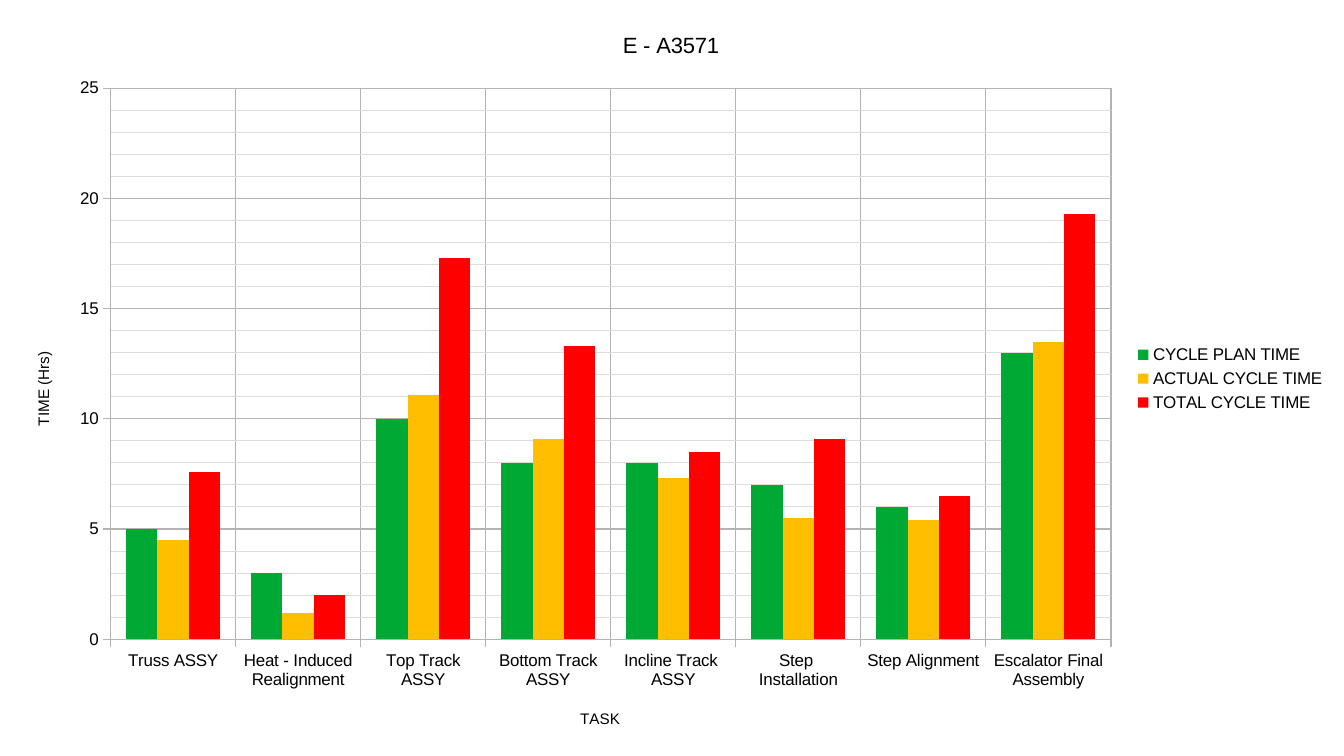
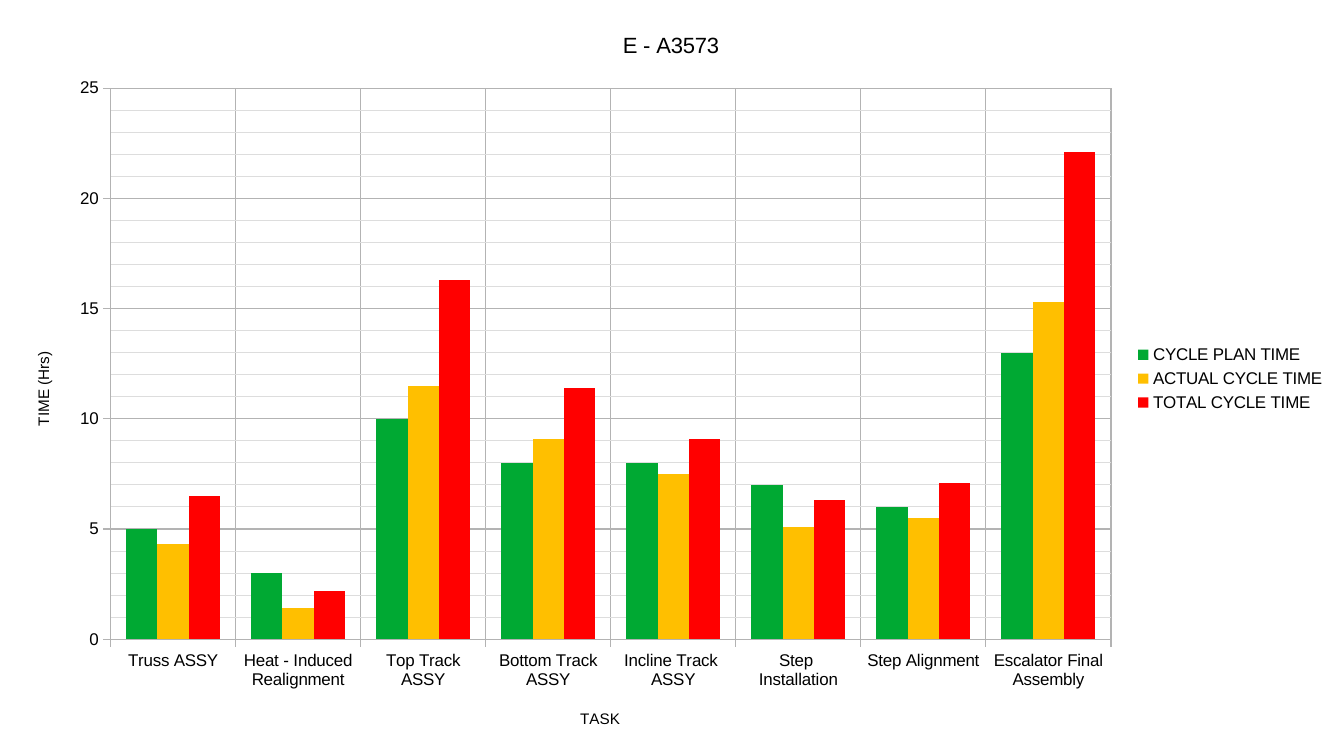
from pptx import Presentation
from pptx.chart.data import CategoryChartData
from pptx.dml.color import RGBColor
from pptx.enum.chart import XL_CHART_TYPE, XL_LEGEND_POSITION, XL_TICK_MARK
from pptx.oxml import parse_xml
from pptx.oxml.ns import nsdecls, qn
from pptx.util import Cm, Pt

COLUMN = XL_CHART_TYPE.COLUMN_CLUSTERED
RIGHT = XL_LEGEND_POSITION.RIGHT
OUT = XL_TICK_MARK.OUTSIDE
NONE = XL_TICK_MARK.NONE

BLACK = RGBColor(0x00, 0x00, 0x00)
GRAY = RGBColor(0xB3, 0xB3, 0xB3)
PALE = RGBColor(0xDD, 0xDD, 0xDD)
GREEN = RGBColor(0x00, 0xA9, 0x33)
AMBER = RGBColor(0xFF, 0xBF, 0x00)
RED = RGBColor(0xFF, 0x00, 0x00)

TASKS = [
    "Truss ASSY",
    "Heat - Induced Realignment",
    "Top Track ASSY",
    "Bottom Track ASSY",
    "Incline Track  ASSY",
    "Step  Installation",
    "Step Alignment",
    "Escalator Final Assembly",
]
SERIES = [
    ("CYCLE PLAN TIME", GREEN),
    ("ACTUAL CYCLE TIME", AMBER),
    ("TOTAL CYCLE TIME", RED),
]
PLAN = [5, 3, 10, 8, 8, 7, 6, 13]
UNITS = [
    (
        "E - A3571",
        [4.5, 1.2, 11.1, 9.1, 7.3, 5.5, 5.4, 13.5],
        [7.6, 2, 17.3, 13.3, 8.5, 9.1, 6.5, 19.3],
    ),
    (
        "E - A3573",
        [4.3, 1.4, 11.5, 9.1, 7.5, 5.1, 5.5, 15.3],
        [6.5, 2.2, 16.3, 11.4, 9.1, 6.3, 7.1, 22.1],
    ),
]


class Deck:
    face = "Arial"

    def __init__(self):
        self.show = Presentation()
        self.show.slide_width = Cm(28)
        self.show.slide_height = Cm(15.75)
        self.slide = None

    def page(self):
        self.slide = self.show.slides.add_slide(self.show.slide_layouts[6])

    def font(self, font, size):
        font.name = self.face
        font.size = Pt(size)
        font.bold = False
        font.color.rgb = BLACK

    def line(self, part, color):
        part.format.line.color.rgb = color
        part.format.line.width = Pt(0)

    def title(self, title, text, size):
        run = title.text_frame.paragraphs[0].add_run()
        run.text = text
        self.font(run.font, size)

    def place(self, node, index, **spots):
        old = node.find(qn("c:layout"))
        if old is not None:
            node.remove(old)
        marks = "".join(f'<c:{key} val="{val}"/>' for key, val in spots.items())
        node.insert(index, parse_xml(
            f'<c:layout {nsdecls("c")}><c:manualLayout>{marks}'
            "</c:manualLayout></c:layout>"
        ))

    def axis(self, axis, text, left, top):
        axis.has_title = True
        self.title(axis.axis_title, text, 9)
        self.place(axis.axis_title.element, 1,
                   xMode="edge", yMode="edge", x=left, y=top)
        axis.has_major_gridlines = True
        self.line(axis.major_gridlines, GRAY)
        self.line(axis, GRAY)
        axis.major_tick_mark = OUT
        axis.minor_tick_mark = NONE
        self.font(axis.tick_labels.font, 10)

    def scale(self, axis, node):
        axis.minimum_scale, axis.maximum_scale = 0, 25
        axis.major_unit, axis.minor_unit = 5, 1
        axis.has_minor_gridlines = True
        node.find(qn("c:minorGridlines")).append(parse_xml(
            f'<c:spPr {nsdecls("c", "a")}><a:ln w="0"><a:solidFill>'
            f'<a:srgbClr val="{PALE}"/></a:solidFill></a:ln></c:spPr>'
        ))
        body = axis.axis_title.element.find(".//" + qn("a:bodyPr"))
        body.set("rot", "-5400000")
        body.set("vert", "horz")

    def chart(self, name, rows):
        data = CategoryChartData()
        data.categories = TASKS
        for (label, _), row in zip(SERIES, rows):
            data.add_series(label, row)
        chart = self.slide.shapes.add_chart(
            COLUMN, Cm(0.08), Cm(0.13), Cm(27.79), Cm(15.52), data
        ).chart
        self.font(chart.font, 10)
        chart.has_title = True
        self.title(chart.chart_title, name, 13)
        chart.has_legend = True
        chart.legend.position = RIGHT
        chart.legend.include_in_layout = False
        self.font(chart.legend.font, 10)
        area = chart.element.find(".//" + qn("c:plotArea"))
        self.axis(chart.category_axis, "TASK", 0.43, 0.94)
        self.axis(chart.value_axis, "TIME (Hrs)", 0.02, 0.46)
        self.scale(chart.value_axis, area.find(qn("c:valAx")))
        plot = chart.plots[0]
        plot.gap_width = 100
        plot.overlap = 0
        plot.vary_by_categories = False
        for bars, (_, color) in zip(plot.series, SERIES):
            bars.format.fill.solid()
            bars.format.fill.fore_color.rgb = color
            bars.invert_if_negative = False
        self.place(area, 0, layoutTarget="inner", xMode="edge", yMode="edge",
                   x=0.08, y=0.11, w=0.75, h=0.74)


def main():
    deck = Deck()
    for name, actual, total in UNITS:
        deck.page()
        deck.chart(name, [PLAN, actual, total])
    deck.show.save("out.pptx")


if __name__ == "__main__":
    main()
